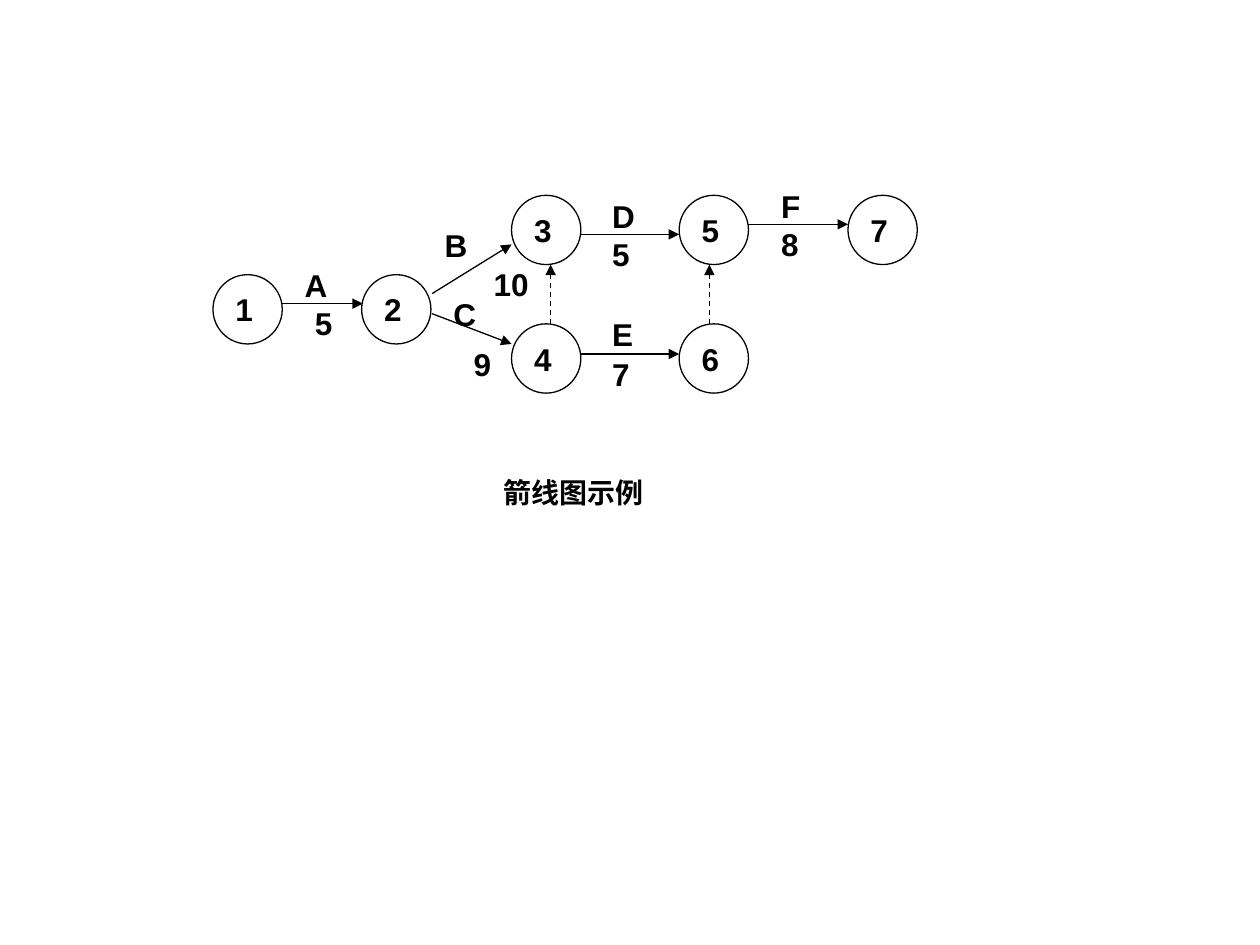
import pptx
import pptx.util
import pptx.dml.color
import pptx.enum.dml
import pptx.enum.shapes
import pptx.enum.text
import pptx.oxml
import pptx.oxml.ns

Inches = pptx.util.Inches
Pt = pptx.util.Pt
BLACK = pptx.dml.color.RGBColor(0, 0, 0)
SIZE = 0.55

NODES = [
    ("1", 1.69, 2.18), ("2", 2.87, 2.18),
    ("3", 4.06, 1.55), ("4", 4.06, 2.57),
    ("5", 5.39, 1.55), ("6", 5.39, 2.57),
    ("7", 6.73, 1.55),
]
TASKS = [
    ((2.24, 2.41), (2.88, 2.41)),
    ((3.43, 2.33), (4.06, 1.94)),
    ((3.43, 2.49), (4.06, 2.73)),
    ((4.61, 1.86), (5.39, 1.86)),
    ((4.61, 2.81), (5.39, 2.81)),
    ((5.94, 1.78), (6.73, 1.78)),
]
DUMMIES = [4.37, 5.63]
NAMES = [
    ("A", 2.32, 2.1), ("B", 3.43, 1.78), ("C", 3.5, 2.33),
    ("D", 4.76, 1.55), ("E", 4.76, 2.49), ("F", 6.1, 1.47),
]
TIMES = [
    ("5", 2.4, 2.41), ("10", 3.82, 2.1), ("9", 3.66, 2.73),
    ("5", 4.76, 1.86), ("7", 4.76, 2.81), ("8", 6.1, 1.78),
]


def write(shape, text, size=18):
    frame = shape.text_frame
    frame.text = text
    frame.word_wrap = False
    frame.vertical_anchor = pptx.enum.text.MSO_ANCHOR.MIDDLE
    para = frame.paragraphs[0]
    para.alignment = pptx.enum.text.PP_ALIGN.LEFT
    font = para.runs[0].font
    font.name = "Arial"
    font.size = Pt(size)
    font.bold = True
    font.color.rgb = BLACK


def add_node(slide, text, left, top):
    node = slide.shapes.add_shape(
        pptx.enum.shapes.MSO_SHAPE.OVAL,
        Inches(left), Inches(top), Inches(SIZE), Inches(SIZE))
    node.shadow.inherit = False
    node.fill.background()
    node.line.color.rgb = BLACK
    node.line.width = Pt(0.75)
    write(node, text)


def add_arrow(slide, start, end, dashed=False):
    arrow = slide.shapes.add_connector(
        pptx.enum.shapes.MSO_CONNECTOR.STRAIGHT,
        *[Inches(value) for value in start + end])
    line = arrow.line
    line.color.rgb = BLACK
    line.width = Pt(0.75)
    if dashed:
        line.dash_style = pptx.enum.dml.MSO_LINE.DASH
    props = arrow.element.spPr
    head = pptx.oxml.parse_xml(
        f'<a:tailEnd {pptx.oxml.ns.nsdecls("a")} type="triangle"/>')
    props.find(pptx.oxml.ns.qn("a:ln")).append(head)
    props.append(pptx.oxml.parse_xml(
        f'<a:effectLst {pptx.oxml.ns.nsdecls("a")}/>'))


def add_label(slide, text, left, top, width, height, size=18):
    box = slide.shapes.add_textbox(
        Inches(left), Inches(top), Inches(width), Inches(height))
    write(box, text, size)


def main():
    deck = pptx.Presentation()
    deck.slide_width = Inches(10)
    deck.slide_height = Inches(7.5)
    slide = deck.slides.add_slide(deck.slide_layouts[6])
    for node in NODES:
        add_node(slide, *node)
    for start, end in TASKS:
        add_arrow(slide, start, end)
    for left in DUMMIES:
        add_arrow(slide, (left, 2.57), (left, 2.1), dashed=True)
    for name in NAMES:
        add_label(slide, *name, 0.39, 0.32)
    for text, left, top in TIMES:
        add_label(slide, text, left, top, 0.32 * len(text), 0.31)
    add_label(slide, "箭线图示例", 3.9, 3.67, 2.2, 0.47, 16)
    deck.save("out.pptx")


if __name__ == "__main__":
    main()
